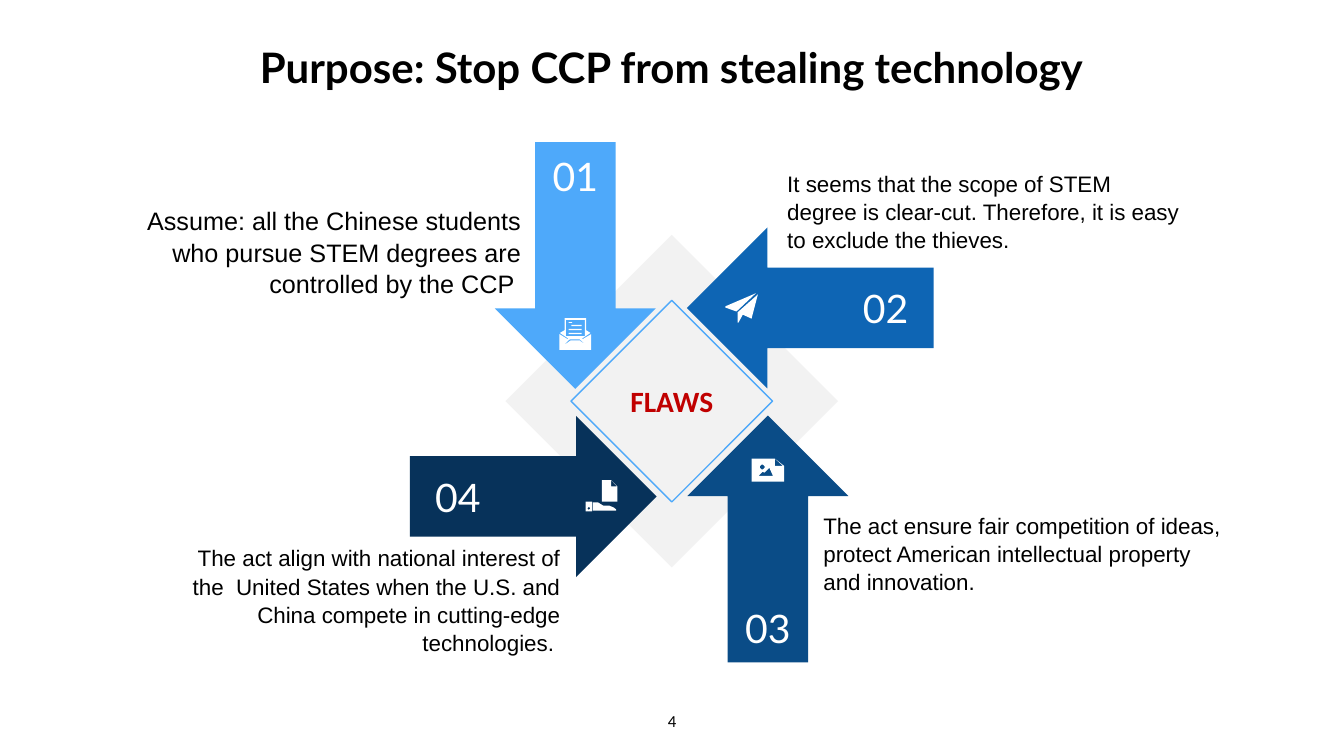
from dataclasses import dataclass
from math import cos, pi, sin

from pptx import Presentation
from pptx.dml.color import RGBColor
from pptx.enum.shapes import MSO_SHAPE
from pptx.enum.text import MSO_ANCHOR, MSO_AUTO_SIZE, PP_ALIGN
from pptx.util import Cm, Pt

WHITE = RGBColor(0xFF, 0xFF, 0xFF)
BLACK = RGBColor(0x00, 0x00, 0x00)
PALE_GREY = RGBColor(0xF2, 0xF2, 0xF2)
RED = RGBColor(0xC0, 0x00, 0x00)
SKY = RGBColor(0x4E, 0xA9, 0xFA)
BLUE = RGBColor(0x0E, 0x65, 0xB4)
DEEP_BLUE = RGBColor(0x0A, 0x4C, 0x87)
NAVY = RGBColor(0x07, 0x32, 0x5A)

ARROW_WIDTH, ARROW_LENGTH = 4.06, 6.22
CAPTION_WIDTH = 10.06
NUMBER_WIDTH, NUMBER_HEIGHT = 2.03, 1.19
NUMBER_REACH_X, NUMBER_REACH_Y = 1.9, 2.25
ICON_REACH = 1.73


@dataclass
class Flaw:
    number: str
    color: RGBColor
    outward: tuple
    offset: tuple
    icon: list
    caption: str
    caption_offset: tuple
    caption_height: float
    caption_size: int
    caption_align: PP_ALIGN


def rectangle(left, top, right, bottom):
    return [(left, top), (right, top), (right, bottom), (left, bottom)]


def circle(x, y, radius, steps=16):
    angles = [2 * pi * step / steps for step in range(steps)]
    return [(x + radius * cos(a), y + radius * sin(a)) for a in angles]


ENVELOPE = [
    [(-40, 0), (-19, 13), (-18, 11), (-39, -3), (-27, -10), (-27, -40), (27, -40),
     (27, -10), (38, -3), (17, 11), (18, 13), (40, 0), (40, 40), (-40, 40)],
    rectangle(-24, -36, 24, 5),
    [(-32, 30), (-14, 13), (11, 13), (29, 30), (11, 16), (-12, 16)],
    rectangle(-17, -30, -8, -28),
    rectangle(-10, -23, 16, -20),
    rectangle(-17, -13, 16, -10),
    rectangle(-17, -3, 16, 0),
]
PAPER_PLANE = [
    [(-41, -4), (-41, -1), (-13, 9), (36, -37)],
    [(-10, 11), (-10, 37), (-8, 37), (3, 17), (25, 27), (41, -34)],
]
PHOTO = [
    [(-41, -29), (18, -29), (41, -11), (41, 29), (-41, 29)],
    [(18, -11), (18, -29), (38, -11)],
    [(-23, 14), (-13, 4), (-8, 6), (4, -6), (13, 14)],
    circle(-14, -8, 6),
]
HAND_WITH_PAGE = [
    [(0, -41), (23, -41), (39, -25), (39, 13), (0, 13)],
    [(23, -25), (23, -41), (38, -25)],
    rectangle(-41, 13, -25, 38),
    circle(-33, 30, 3),
    [(-23, 15), (-10, 15), (3, 23), (18, 23), (30, 28), (36, 33), (36, 36), (-23, 36)],
]

FLAWS = [
    Flaw("01", SKY, (0, -1), (-2.43, -3.42), ENVELOPE,
         "Assume: all the Chinese students who pursue STEM degrees are controlled by the CCP ",
         (-13.86, -4.93), 2.31, 18, PP_ALIGN.RIGHT),
    Flaw("02", BLUE, (1, 0), (3.49, -2.35), PAPER_PLANE,
         "It seems that the scope of STEM degree is clear-cut. "
         "Therefore, it is easy to exclude the thieves.",
         (2.91, -5.82), 2.06, 16, PP_ALIGN.LEFT),
    Flaw("03", DEEP_BLUE, (0, 1), (2.42, 3.47), PHOTO,
         "The act ensure fair competition of ideas, protect American "
         "intellectual property and innovation.",
         (3.82, 2.79), 2.06, 16, PP_ALIGN.LEFT),
    Flaw("04", NAVY, (-1, 0), (-3.49, 2.4), HAND_WITH_PAGE,
         "The act align with national interest of the  United States when the U.S. "
         "and China compete in cutting-edge technologies. ",
         (-12.87, 3.63), 2.74, 16, PP_ALIGN.RIGHT),
]


def write(holder, text, font, size, color, align=PP_ALIGN.CENTER, bold=False, spacing=None):
    frame = holder.text_frame
    frame.text = text
    frame.word_wrap = True
    frame.vertical_anchor = MSO_ANCHOR.MIDDLE
    paragraph = frame.paragraphs[0]
    paragraph.alignment = align
    paragraph.line_spacing = spacing
    style = paragraph.runs[0].font
    style.name, style.size, style.bold = font, Pt(size), bold
    style.color.rgb = color


def fit_tightly(holder):
    frame = holder.text_frame
    frame.margin_left = frame.margin_right = frame.margin_top = frame.margin_bottom = 0
    frame.auto_size = MSO_AUTO_SIZE.SHAPE_TO_FIT_TEXT


def add_label(slide, left, top, width, height, *style, **options):
    label = slide.shapes.add_textbox(Cm(left), Cm(top), Cm(width), Cm(height))
    write(label, *style, **options)
    return label


def paint(shape, color):
    shape.shadow.inherit = False
    shape.fill.solid()
    shape.fill.fore_color.rgb = color
    shape.line.fill.background()


def add_centered(slide, kind, x, y, width, height):
    return slide.shapes.add_shape(
        kind, Cm(x - width / 2), Cm(y - height / 2), Cm(width), Cm(height))


def draw_icon(slide, x, y, contours):
    first, *others = contours
    builder = slide.shapes.build_freeform(*first[0], scale=Cm(0.01))
    builder.add_line_segments(first[1:])
    for contour in others:
        builder.move_to(*contour[0])
        builder.add_line_segments(contour[1:])
    paint(builder.convert_to_shape(Cm(x), Cm(y)), WHITE)


def draw_flaw(slide, hub_x, hub_y, flaw, rotation):
    x, y = hub_x + flaw.offset[0], hub_y + flaw.offset[1]
    out_x, out_y = flaw.outward
    arrow = add_centered(slide, MSO_SHAPE.DOWN_ARROW, x, y, ARROW_WIDTH, ARROW_LENGTH)
    arrow.rotation = rotation
    paint(arrow, flaw.color)
    caption = add_label(
        slide, hub_x + flaw.caption_offset[0], hub_y + flaw.caption_offset[1],
        CAPTION_WIDTH, flaw.caption_height, flaw.caption, "Arial",
        flaw.caption_size, BLACK, flaw.caption_align, spacing=1.05)
    fit_tightly(caption)
    number = add_label(
        slide, x + out_x * NUMBER_REACH_X - NUMBER_WIDTH / 2,
        y + out_y * NUMBER_REACH_Y - NUMBER_HEIGHT / 2,
        NUMBER_WIDTH, NUMBER_HEIGHT, flaw.number, "Lato", 28, WHITE)
    fit_tightly(number)
    draw_icon(slide, x - out_x * ICON_REACH, y - out_y * ICON_REACH, flaw.icon)


def draw_wheel(slide, left, top, size):
    hub_x, hub_y = left + size / 2, top + size / 2
    backdrop = add_centered(slide, MSO_SHAPE.DIAMOND, hub_x, hub_y, size, size)
    paint(backdrop, PALE_GREY)
    write(backdrop, "FLAWS", "Calibri", 21, RED, bold=True)
    for turn, flaw in enumerate(FLAWS):
        draw_flaw(slide, hub_x, hub_y, flaw, 90 * turn)
    hub = add_centered(slide, MSO_SHAPE.DIAMOND, hub_x, hub_y, 5.08, 5.08)
    hub.shadow.inherit = False
    hub.fill.background()
    hub.line.color.rgb = SKY
    hub.line.width = Pt(1)


def place_title(slide, left, top, width, height):
    title = slide.shapes.title
    title.left, title.top, title.width, title.height = map(Cm, (left, top, width, height))
    write(title, "Purpose: Stop CCP from stealing technology", "Lato", 30, BLACK, bold=True)
    fit_tightly(title)


def main():
    deck = Presentation()
    deck.slide_width, deck.slide_height = Cm(33.87), Cm(19.05)
    slide = deck.slides.add_slide(deck.slide_layouts[5])
    place_title(slide, 5.28, 1.04, 23.29, 1.27)
    draw_wheel(slide, 12.74, 5.92, 8.38)
    add_label(slide, 13.13, 17.65, 7.62, 1.02, "4", "Calibri", 12, BLACK)
    deck.save("out.pptx")


if __name__ == "__main__":
    main()
